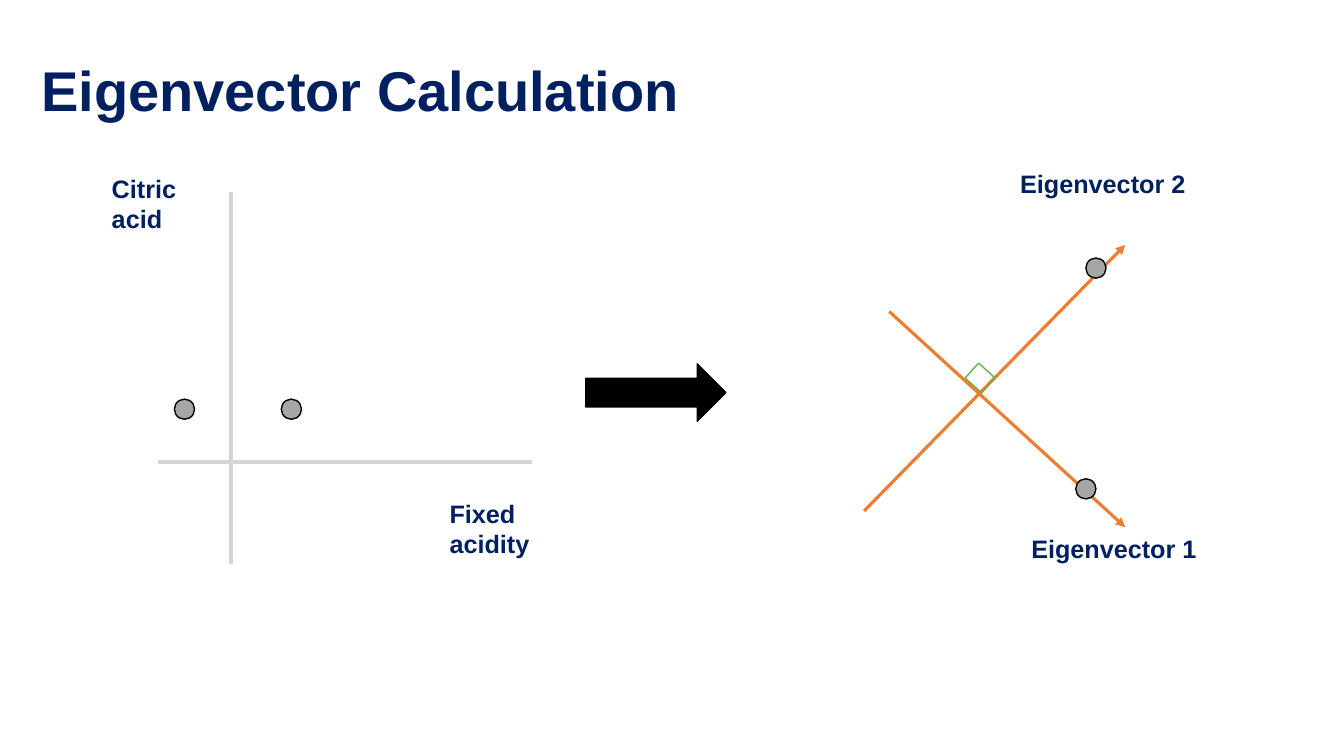
"""Build the slide on eigenvector calculation."""
from lxml.etree import SubElement
from pptx import Presentation
from pptx.dml.color import RGBColor
from pptx.enum.shapes import MSO_CONNECTOR, MSO_SHAPE
from pptx.enum.text import MSO_ANCHOR, MSO_AUTO_SIZE, PP_ALIGN
from pptx.oxml.ns import qn
from pptx.util import Inches, Pt


def rgb(color):
    return RGBColor.from_string(color)


def write(tf, text, size=18, color="002060", font="Arial", bold=True):
    tf.word_wrap = True
    tf.auto_size = MSO_AUTO_SIZE.NONE
    tf.vertical_anchor = MSO_ANCHOR.TOP
    p = tf.paragraphs[0]
    p.alignment = PP_ALIGN.LEFT
    p.line_spacing = 1.0
    r = p.add_run()
    r.text = text
    r.font.size = Pt(size)
    r.font.name = font
    r.font.bold = bold
    r.font.color.rgb = rgb(color)


prs = Presentation()
prs.slide_width = Inches(13.33)
prs.slide_height = Inches(7.5)
s = prs.slides.add_slide(prs.slide_layouts[5])

title = s.shapes.title
title.left, title.top = Inches(0.31), Inches(0.5)
title.width, title.height = Inches(8.97), Inches(0.77)
write(title.text_frame, "Eigenvector Calculation", size=40)

lines = [
    (8.57, 5.07, 11.16, 2.43, "ED7D31", 2.25, True),
    (8.82, 3.09, 11.16, 5.23, "ED7D31", 2.25, True),
    (2.29, 5.6, 2.29, 1.9, "D5D5D5", 3, False),
    (1.57, 4.58, 5.28, 4.58, "D5D5D5", 3, False),
]
for x1, y1, x2, y2, color, width, arrow in lines:
    cn = s.shapes.add_connector(MSO_CONNECTOR.STRAIGHT, Inches(x1), Inches(y1), Inches(x2), Inches(y2))
    cn.line.color.rgb = rgb(color)
    cn.line.width = Pt(width)
    if arrow:
        SubElement(cn.line._get_or_add_ln(), qn("a:tailEnd"), type="triangle")
    SubElement(cn._element.spPr, qn("a:effectLst"))

dots = [(10.67, 4.75), (10.77, 2.56), (2.79, 3.96), (1.73, 3.96)]
shapes = [(MSO_SHAPE.OVAL, x, y, 0.2, 0.2, 0, "A6A6A6", "000000") for x, y in dots]
shapes += [
    (MSO_SHAPE.RECTANGLE, 9.61, 3.65, 0.22, 0.2, 42, None, "70AD47"),
    (MSO_SHAPE.RIGHT_ARROW, 5.81, 3.61, 1.39, 0.57, 0, "000000", "000000"),
]
for kind, x, y, w, h, angle, fill, line in shapes:
    sp = s.shapes.add_shape(kind, Inches(x), Inches(y), Inches(w), Inches(h))
    sp.rotation = angle
    sp.shadow.inherit = False
    if fill:
        sp.fill.solid()
        sp.fill.fore_color.rgb = rgb(fill)
    else:
        sp.fill.background()
    sp.line.color.rgb = rgb(line)
    sp.line.width = Pt(1)

labels = [
    ("Fixed acidity", 4.36, 4.89, 1.12, 0.71),
    ("Citric acid", 1.01, 1.67, 1.28, 0.71),
    ("Eigenvector 1", 10.13, 5.24, 1.91, 0.4),
    ("Eigenvector 2", 10.02, 1.62, 1.91, 0.4),
]
for text, x, y, w, h in labels:
    box = s.shapes.add_textbox(Inches(x), Inches(y), Inches(w), Inches(h))
    write(box.text_frame, text)

prs.save("out.pptx")
